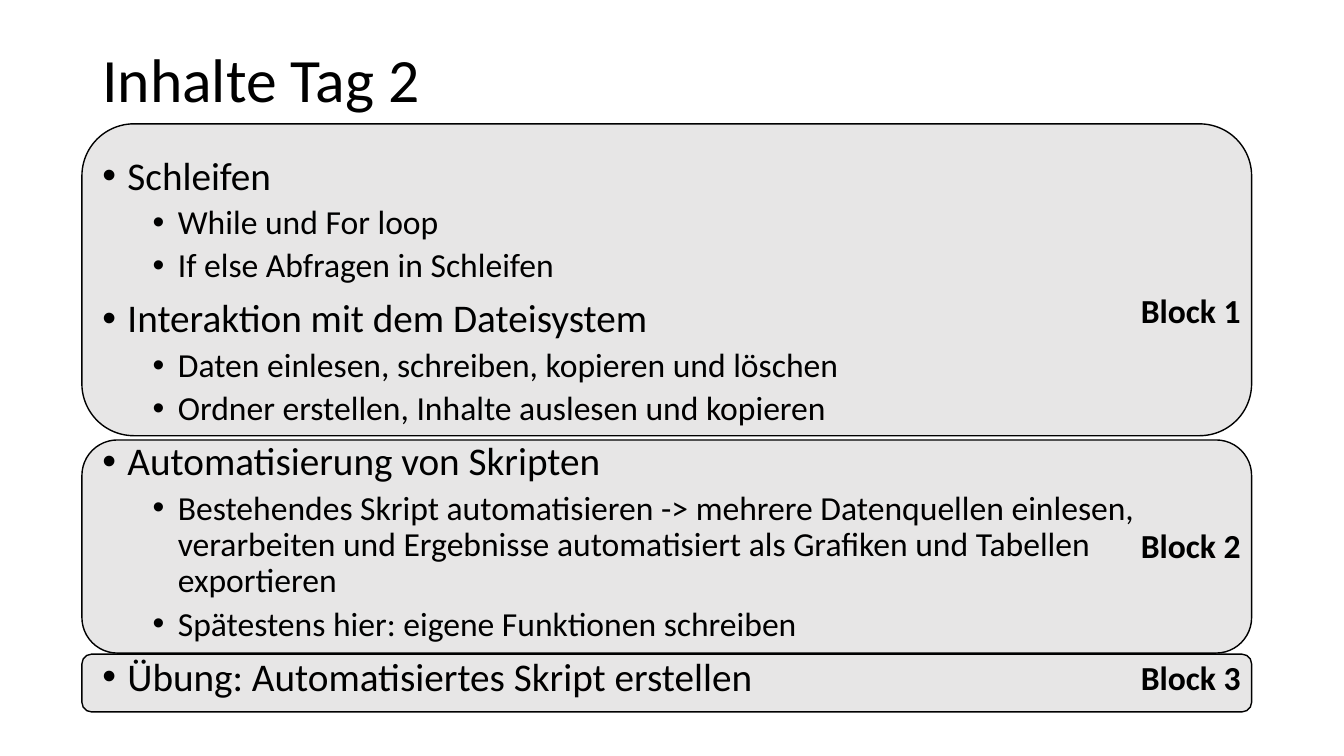
"""Builds the agenda slide for day 2 with its three blocks."""
from dataclasses import dataclass

from lxml import etree
from pptx import Presentation
from pptx.dml.color import RGBColor
from pptx.enum.shapes import MSO_SHAPE
from pptx.enum.text import MSO_ANCHOR, MSO_AUTO_SIZE
from pptx.oxml.ns import qn
from pptx.util import Emu, Pt

ROUNDED = MSO_SHAPE.ROUNDED_RECTANGLE
TOP, MIDDLE = MSO_ANCHOR.TOP, MSO_ANCHOR.MIDDLE
FIT_SHAPE, NO_FIT = MSO_AUTO_SIZE.SHAPE_TO_FIT_TEXT, MSO_AUTO_SIZE.NONE
EMU_PER_PX = 9525


@dataclass(frozen=True)
class Theme:
    """Colours, font and type sizes of the slide."""
    ink: RGBColor = RGBColor(0x00, 0x00, 0x00)
    panel: RGBColor = RGBColor(0xE7, 0xE6, 0xE6)
    font: str = "Calibri"
    title: int = 44
    topic: int = 28
    detail: int = 24
    outline: int = 1


@dataclass(frozen=True)
class Block:
    """A panel with its label, placed by top edges and height in px."""
    label: str
    top: int
    height: int
    label_top: int


@dataclass(frozen=True)
class Level:
    """Format of one outline level; indents in px, sizes in points."""
    indent: int
    size: int
    space_before: int


@dataclass(frozen=True)
class Topic:
    """A heading with its details."""
    heading: str
    details: tuple[str, ...] = ()


THEME = Theme()
LEVELS = (Level(24, THEME.topic, 10), Level(72, THEME.detail, 5))
HANGING = 24
PANEL_LEFT, PANEL_WIDTH = 78, 1114
TEXT_LEFT, TEXT_WIDTH = 88, 1104
LABEL_LEFT, LABEL_WIDTH, LABEL_HEIGHT = 1077, 115, 48

BLOCKS = (
    Block("Block 1", 118, 297, 271),
    Block("Block 2", 419, 203, 495),
    Block("Block 3", 623, 55, 621),
)
TOPICS = (
    Topic("Schleifen", (
        "While und For loop",
        "If else Abfragen in Schleifen",
    )),
    Topic("Interaktion mit dem Dateisystem", (
        "Daten einlesen, schreiben, kopieren und löschen",
        "Ordner erstellen, Inhalte auslesen und kopieren",
    )),
    Topic("Automatisierung von Skripten", (
        "Bestehendes Skript automatisieren -> mehrere Datenquellen einlesen, "
        "verarbeiten und Ergebnisse automatisiert als Grafiken und Tabellen exportieren",
        "Spätestens hier: eigene Funktionen schreiben",
    )),
    Topic("Übung: Automatisiertes Skript erstellen"),
)


def px(length: int) -> Emu:
    """Turn px into EMU."""
    return Emu(length * EMU_PER_PX)


def add_frame(page, left: int, top: int, width: int, height: int, *,
              anchor=TOP, wrap: bool = True, fit=NO_FIT):
    """Add a text box and return its text frame."""
    box = page.shapes.add_textbox(px(left), px(top), px(width), px(height))
    frame = box.text_frame
    frame.word_wrap = wrap
    frame.auto_size = fit
    frame.vertical_anchor = anchor
    return frame


def write(para, text: str, *, size: int, bold: bool = False,
          line_spacing: float = 1.0, space_before: int = 0) -> None:
    """Put formatted text into a paragraph."""
    para.line_spacing = line_spacing
    para.space_before = Pt(space_before)
    span = para.add_run()
    span.text = text
    span.font.name = THEME.font
    span.font.size = Pt(size)
    span.font.bold = bold
    span.font.color.rgb = THEME.ink


def add_bullet(para, indent: int) -> None:
    """Give a paragraph a hanging round bullet."""
    props = para._p.get_or_add_pPr()
    props.set("marL", str(px(indent)))
    props.set("indent", str(-px(HANGING)))
    etree.SubElement(props, qn("a:buFont")).set("typeface", "Arial")
    etree.SubElement(props, qn("a:buChar")).set("char", "•")


def draw_panel(page, block: Block) -> None:
    """Draw the rounded panel behind a block."""
    panel = page.shapes.add_shape(
        ROUNDED, px(PANEL_LEFT), px(block.top), px(PANEL_WIDTH), px(block.height))
    panel.shadow.inherit = False
    panel.fill.solid()
    panel.fill.fore_color.rgb = THEME.panel
    panel.line.color.rgb = THEME.ink
    panel.line.width = Pt(THEME.outline)


def draw_label(page, block: Block) -> None:
    """Write the name of a block at its right edge."""
    frame = add_frame(page, LABEL_LEFT, block.label_top, LABEL_WIDTH, LABEL_HEIGHT,
                      wrap=False, fit=FIT_SHAPE)
    write(frame.paragraphs[0], block.label, size=THEME.detail, bold=True)


def draw_topics(page, topics: tuple[Topic, ...]) -> None:
    """Write the bulleted outline."""
    frame = add_frame(page, TEXT_LEFT, 144, TEXT_WIDTH, 534)
    lines = [(depth, text) for topic in topics
             for depth, texts in enumerate(((topic.heading,), topic.details))
             for text in texts]
    for index, (depth, text) in enumerate(lines):
        para = frame.add_paragraph() if index else frame.paragraphs[0]
        level = LEVELS[depth]
        para.level = depth
        write(para, text, size=level.size, line_spacing=0.9,
              space_before=level.space_before)
        add_bullet(para, level.indent)


def main() -> None:
    """Build and save the deck."""
    deck = Presentation()
    deck.slide_width, deck.slide_height = px(1280), px(720)
    page = deck.slides.add_slide(deck.slide_layouts[6])
    title = add_frame(page, TEXT_LEFT, 9, TEXT_WIDTH, 139, anchor=MIDDLE)
    write(title.paragraphs[0], "Inhalte Tag 2", size=THEME.title, line_spacing=0.9)
    for block in BLOCKS:
        draw_panel(page, block)
    draw_topics(page, TOPICS)
    for block in BLOCKS:
        draw_label(page, block)
    deck.save("out.pptx")


if __name__ == "__main__":
    main()
